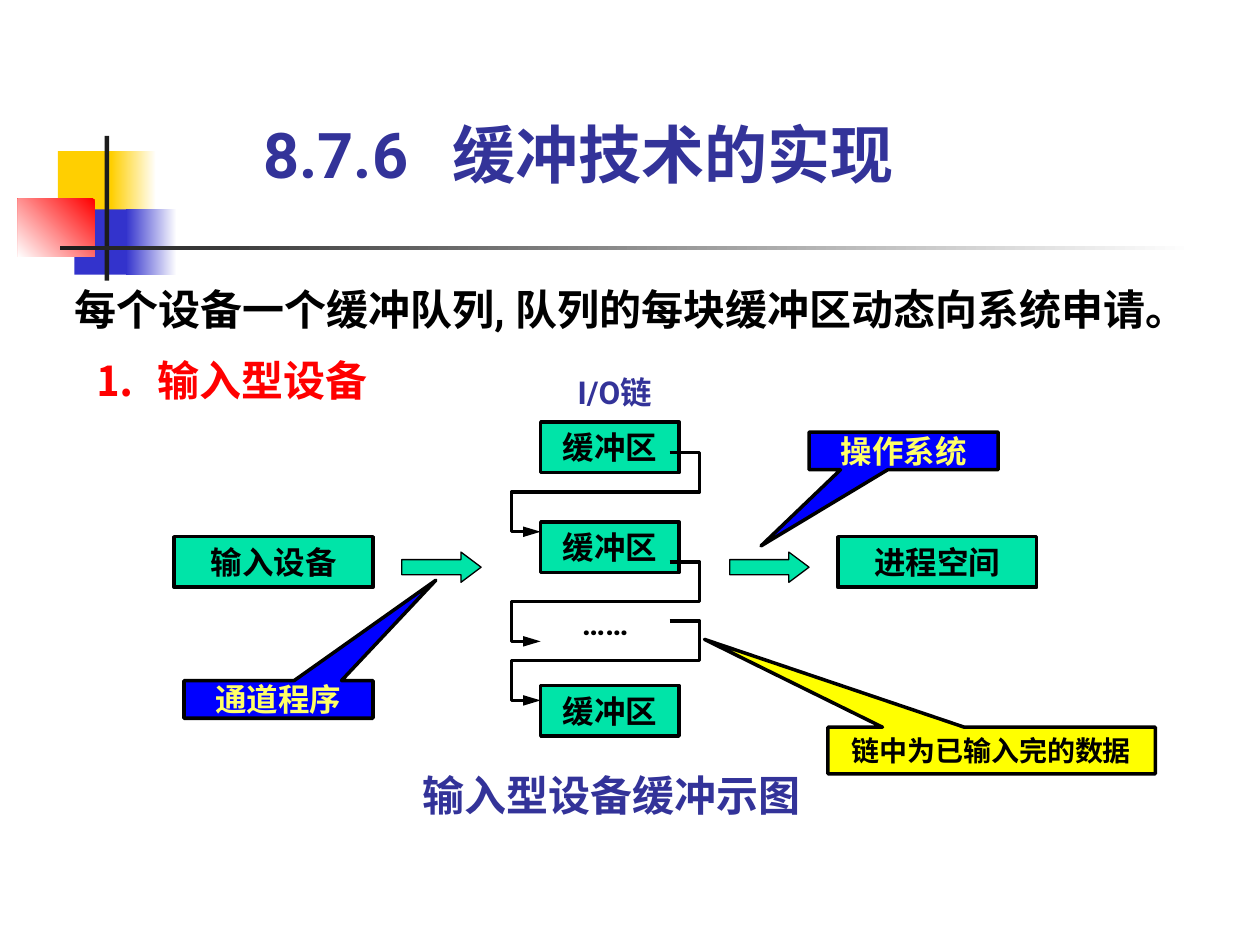
"""Build the slide on input device buffering."""
from dataclasses import dataclass
from typing import NamedTuple, Optional

from lxml import etree
from pptx import Presentation
from pptx.dml.color import RGBColor
from pptx.enum.shapes import MSO_SHAPE
from pptx.enum.text import MSO_ANCHOR, MSO_AUTO_SIZE, PP_ALIGN
from pptx.oxml.ns import qn
from pptx.util import Cm, Pt

RECTANGLE = MSO_SHAPE.RECTANGLE
RIGHT_ARROW = MSO_SHAPE.RIGHT_ARROW
CALLOUT = MSO_SHAPE.RECTANGULAR_CALLOUT
TOP, MIDDLE = MSO_ANCHOR.TOP, MSO_ANCHOR.MIDDLE
LEFT, CENTER = PP_ALIGN.LEFT, PP_ALIGN.CENTER
NO_AUTOSIZE = MSO_AUTO_SIZE.NONE


@dataclass(frozen=True)
class Theme:
    font: str = "Roboto"
    title_size: float = 36
    body_size: float = 24
    label_size: float = 18
    note_size: float = 16
    outline: float = 2
    thin_outline: float = 0.75
    ink: str = "000000"
    heading: str = "333399"
    accent: str = "FF0000"
    buffer: str = "00E4A8"
    actor: str = "0000FF"
    actor_text: str = "FFFF66"
    note: str = "FFFF00"
    gold: str = "FFCF01"
    blue: str = "3333CC"
    bar: str = "1C1C1C"
    white: str = "FFFFFF"


THEME = Theme()


class Area(NamedTuple):
    left: float
    top: float
    width: float
    height: float


class Label(NamedTuple):
    text: str
    size: float = THEME.label_size
    color: str = THEME.ink
    align: PP_ALIGN = CENTER
    anchor: MSO_ANCHOR = MIDDLE
    line_spacing: float = 1.0
    tab: Optional[float] = None


class Ornament(NamedTuple):
    area: Area
    start: str
    end: Optional[str] = None
    angle: float = 180


class Block(NamedTuple):
    area: Area
    fill: str
    label: Optional[Label] = None
    kind: MSO_SHAPE = RECTANGLE
    adjustments: tuple = ()
    outline: float = THEME.outline


ORNAMENTS = [
    Ornament(Area(1.17, 3.05, 1.22, 1.32), THEME.gold),
    Ornament(Area(2.24, 3.05, 0.91, 1.32), THEME.white, THEME.gold),
    Ornament(Area(1.5, 4.22, 1.17, 1.32), THEME.blue),
    Ornament(Area(2.54, 4.22, 1.02, 1.32), THEME.white, THEME.blue),
    Ornament(Area(0.36, 4.01, 1.55, 1.17), THEME.accent, THEME.white, 225),
    Ornament(Area(2.11, 2.74, 0.09, 2.92), THEME.bar),
    Ornament(Area(1.22, 4.95, 22.86, 0.09), THEME.white, THEME.bar),
]

PLACEHOLDERS = [
    (Area(5.31, 2.34, 14.4, 1.52),
     Label("8.7.6\t缓冲技术的实现", THEME.title_size, THEME.heading, LEFT, tab=3.86)),
    (Area(1.5, 5.51, 23.39, 1.22),
     Label("每个设备一个缓冲队列, 队列的每块缓冲区动态向系统申请。",
           THEME.body_size, align=LEFT, anchor=TOP, line_spacing=1.2)),
    (Area(1.9, 7.14, 5.99, 1.02),
     Label("⒈\t输入型设备", THEME.body_size, THEME.accent, LEFT, tab=1.2)),
]

ENDPOINTS = [
    Block(Area(left, 10.82, 4.01, 1.02), THEME.buffer, Label(name))
    for left, name in ((3.51, "输入设备"), (16.89, "进程空间"))
]
BUFFERS = [
    Block(Area(10.9, top, 2.79, 1.02), THEME.buffer, Label("缓冲区"))
    for top in (8.51, 10.52, 13.82)
]
ARROWS = [
    Block(Area(left, 11.13, 1.6, 0.61), THEME.buffer, None, RIGHT_ARROW,
          (0.5, 0.667), THEME.thin_outline)
    for left in (8.1, 14.71)
]
ACTORS = [
    Block(Area(left, top, 3.81, 0.76), THEME.actor,
          Label(name, color=THEME.actor_text), CALLOUT, pointer)
    for left, top, name, pointer in (
        (3.71, 13.72, "通道程序", (0.833, -3.162)),
        (16.31, 8.71, "操作系统", (-0.754, 2.52)))
]
DATA_NOTE = Block(Area(16.69, 14.66, 6.6, 0.94), THEME.note,
                  Label("链中为已输入完的数据", THEME.note_size), CALLOUT,
                  (-0.877, -2.384))

CAPTIONS = [
    (Area(11.1, 7.52, 2.59, 0.76), Label("I/O链", color=THEME.heading)),
    (Area(11.3, 12.17, 1.8, 0.76), Label("……")),
    (Area(8.51, 15.52, 8.59, 1.02),
     Label("输入型设备缓冲示图", THEME.body_size, THEME.heading, LEFT)),
]

LINK_TOPS = (9.12, 11.33, 12.52)
LINK_DROP = 0.8


def apply(target, values: dict) -> None:
    """Set every attribute named in values."""
    for name, value in values.items():
        setattr(target, name, value)


def place(area: Area) -> list:
    """Return the area as slide lengths."""
    return [Cm(value) for value in area]


def write(shape, label: Label) -> None:
    """Write a formatted label into a shape."""
    frame = shape.text_frame
    apply(frame, dict(word_wrap=True, auto_size=NO_AUTOSIZE,
                      vertical_anchor=label.anchor, margin_left=0,
                      margin_right=0, margin_top=0, margin_bottom=0))
    paragraph = frame.paragraphs[0]
    properties = paragraph._p.get_or_add_pPr()
    apply_indent = {"marL": "0", "indent": "0"}
    properties.attrib.update(apply_indent)
    etree.SubElement(properties, qn("a:buNone"))
    if label.tab is not None:
        stops = etree.SubElement(properties, qn("a:tabLst"))
        etree.SubElement(stops, qn("a:tab"), pos=str(Cm(label.tab)), algn="l")
    apply(paragraph, dict(alignment=label.align, space_before=Pt(0),
                          line_spacing=label.line_spacing))
    run = paragraph.add_run()
    run.text = label.text
    apply(run.font, dict(name=THEME.font, size=Pt(label.size), bold=True))
    run.font.color.rgb = RGBColor.from_string(label.color)


def paint(fill, color: str) -> None:
    """Give a fill one solid colour."""
    fill.solid()
    fill.fore_color.rgb = RGBColor.from_string(color)


def draw_ornament(shapes, ornament: Ornament) -> None:
    """Draw one solid or fading piece of the title decoration."""
    piece = shapes.add_shape(RECTANGLE, *place(ornament.area))
    piece.shadow.inherit = False
    piece.line.fill.background()
    if ornament.end is None:
        paint(piece.fill, ornament.start)
        return
    piece.fill.gradient()
    piece.fill.gradient_angle = ornament.angle
    for stop, color in zip(piece.fill.gradient_stops, (ornament.start, ornament.end)):
        stop.color.rgb = RGBColor.from_string(color)


def draw_block(shapes, block: Block) -> None:
    """Draw a box, arrow or callout with its label."""
    shape = shapes.add_shape(block.kind, *place(block.area))
    shape.shadow.inherit = False
    paint(shape.fill, block.fill)
    paint(shape.line.fill, THEME.ink)
    shape.line.width = Pt(block.outline)
    for index, value in enumerate(block.adjustments):
        shape.adjustments[index] = value
    if block.label:
        write(shape, block.label)


def draw_link(shapes, top: float) -> None:
    """Draw the bent arrow from one buffer to the next."""
    middle, bottom = top + LINK_DROP, top + 2 * LINK_DROP
    bends = [(14.1, top), (14.1, middle), (10.31, middle), (10.31, bottom), (10.9, bottom)]
    builder = shapes.build_freeform(Cm(13.5), Cm(top))
    builder.add_line_segments([(Cm(x), Cm(y)) for x, y in bends], close=False)
    link = builder.convert_to_shape()
    link.shadow.inherit = False
    link.fill.background()
    paint(link.line.fill, THEME.ink)
    link.line.width = Pt(THEME.outline)
    etree.SubElement(link.line._get_or_add_ln(), qn("a:tailEnd"),
                     type="triangle", w="med", len="lg")


def main() -> None:
    """Build and save the slide."""
    deck = Presentation()
    apply(deck, dict(slide_width=Cm(25.4), slide_height=Cm(19.05)))
    slide = deck.slides.add_slide(deck.slide_layouts[3])
    shapes = slide.shapes
    for holder, (area, label) in zip(slide.placeholders, PLACEHOLDERS):
        apply(holder, dict(zip(Area._fields, place(area))))
        write(holder, label)
    for ornament in ORNAMENTS:
        draw_ornament(shapes, ornament)
    for block in [DATA_NOTE, *ENDPOINTS, *ARROWS, *BUFFERS, *ACTORS]:
        draw_block(shapes, block)
    for area, label in CAPTIONS:
        write(shapes.add_textbox(*place(area)), label)
    for top in LINK_TOPS:
        draw_link(shapes, top)
    deck.save("out.pptx")


if __name__ == "__main__":
    main()
